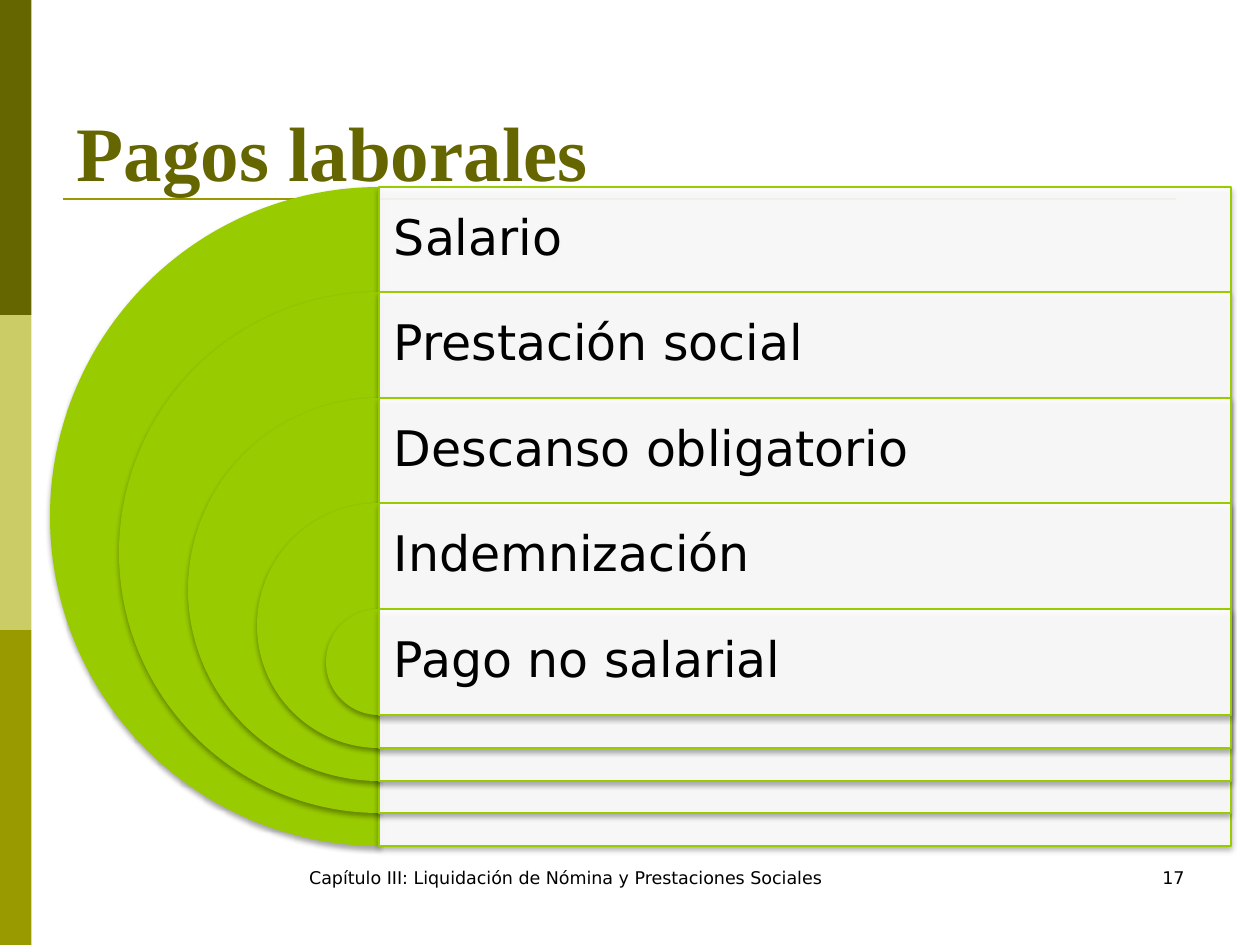
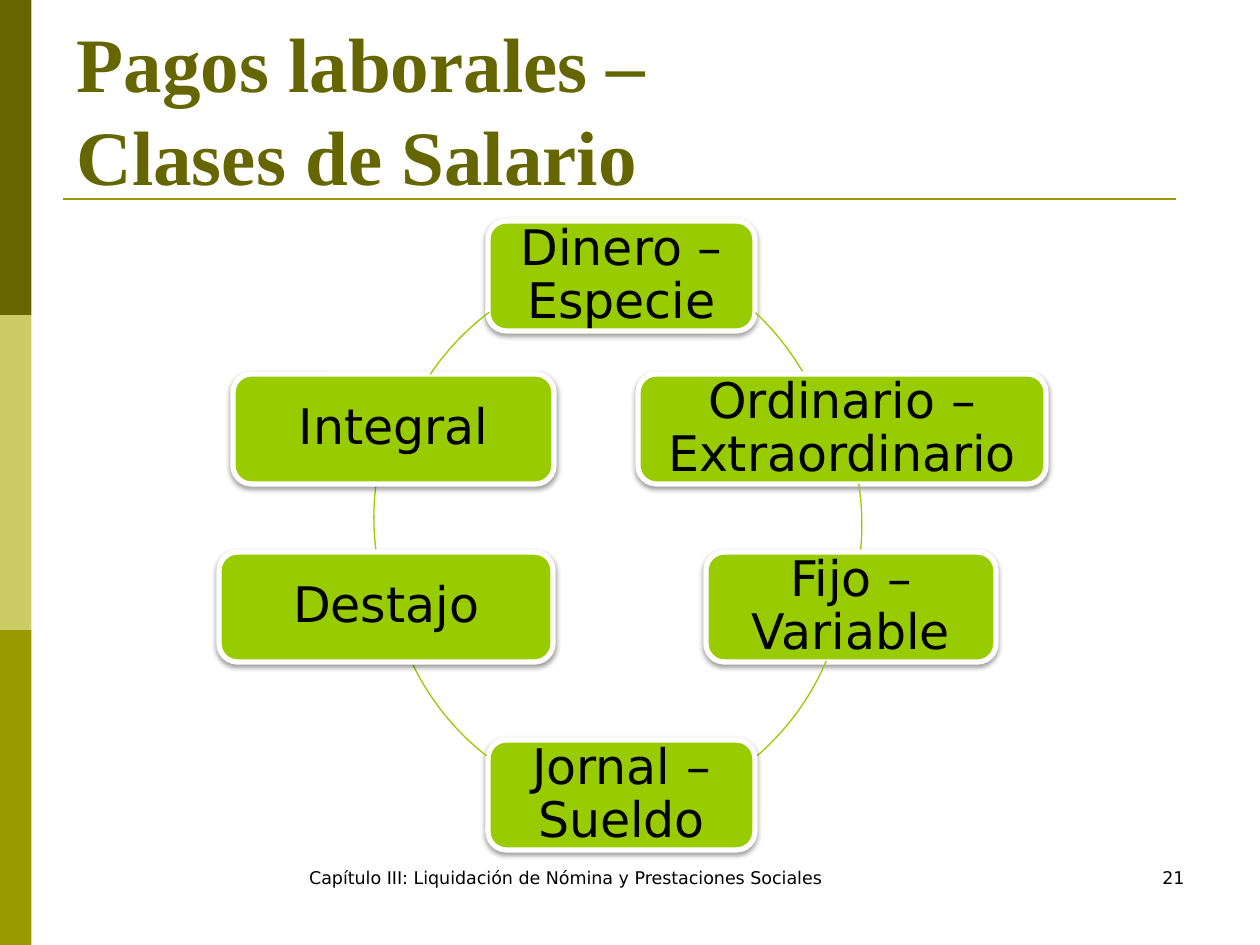
from lxml import etree
from pptx import Presentation
from pptx.dml.color import RGBColor
from pptx.enum.shapes import MSO_CONNECTOR, MSO_SHAPE
from pptx.enum.text import MSO_ANCHOR, MSO_AUTO_SIZE, PP_ALIGN
from pptx.oxml.ns import qn
from pptx.util import Pt

PX = 914400 / 126  # EMU per px, 126 px to the inch

OLIVE = RGBColor(0x66, 0x66, 0x00)
SAND = RGBColor(0xCC, 0xCC, 0x66)
MOSS = RGBColor(0x99, 0x99, 0x00)
LIME = RGBColor(0x99, 0xCC, 0x00)
WHITE = RGBColor(0xFF, 0xFF, 0xFF)
BLACK = RGBColor(0x00, 0x00, 0x00)
SANS, SERIF = "DejaVu Sans", "Times New Roman"

RECT, ROUND = MSO_SHAPE.RECTANGLE, MSO_SHAPE.ROUNDED_RECTANGLE
PIE, ARC = MSO_SHAPE.PIE, MSO_SHAPE.ARC
LEFT, CENTER, RIGHT, JUSTIFY = PP_ALIGN.LEFT, PP_ALIGN.CENTER, PP_ALIGN.RIGHT, PP_ALIGN.JUSTIFY
TOP, MIDDLE, BOTTOM = MSO_ANCHOR.TOP, MSO_ANCHOR.MIDDLE, MSO_ANCHOR.BOTTOM


def put_text(sp, text, size=28, font=SANS, color=BLACK, bold=False, align=CENTER,
             anchor=MIDDLE, spacing=None, margins=None):
    """Write one paragraph; margins are left, top, right, bottom in px."""
    tf = sp.text_frame
    tf.word_wrap = True
    tf.auto_size = MSO_AUTO_SIZE.NONE
    tf.vertical_anchor = anchor
    if margins:
        tf.margin_left, tf.margin_top, tf.margin_right, tf.margin_bottom = [
            round(m * PX) for m in margins]
    p = tf.paragraphs[0]
    p.text = text
    p.alignment = align
    p.line_spacing = spacing
    for r in p.runs:
        r.font.size, r.font.name, r.font.bold = Pt(size), font, bold
        r.font.color.rgb = color


def add_shape(slide, kind, box, fill=None, line=None, width=0.75, angles=None, shadow=None):
    """Add a preset shape; angles in degrees, shadow as (opacity %, distance pt)."""
    sp = slide.shapes.add_shape(kind, *[round(v * PX) for v in box])
    if fill is None:
        sp.fill.background()
    else:
        sp.fill.solid()
        sp.fill.fore_color.rgb = fill
    if line is None:
        sp.line.fill.background()
    else:
        sp.line.color.rgb = line
        sp.line.width = Pt(width)
    for i, angle in enumerate(angles or ()):
        sp.adjustments[i] = angle * 0.6
    sp.shadow.inherit = False
    if shadow:
        opacity, distance = shadow
        effects = sp.element.spPr.find(qn("a:effectLst"))
        outer = etree.SubElement(effects, qn("a:outerShdw"), blurRad=str(Pt(3.1)),
                                 dist=str(Pt(distance)), dir="5400000", rotWithShape="0")
        clr = etree.SubElement(outer, qn("a:srgbClr"), val=str(BLACK))
        etree.SubElement(clr, qn("a:alpha"), val=str(opacity * 1000))
    return sp


prs = Presentation()
prs.slide_width, prs.slide_height = round(1260 * PX), round(945 * PX)
layout = prs.slide_layouts[5]

# Titles, footers and page numbers
slides = []
for title, top, number in (("Pagos laborales", 45, "17"),
                           ("Pagos laborales – \vClases de Salario", 49, "21")):
    s = prs.slides.add_slide(layout)
    slides.append(s)
    sp = s.shapes.title
    sp.left, sp.top, sp.width, sp.height = [round(v * PX) for v in (64, top, 1134, 158)]
    put_text(sp, title, size=44, font=SERIF, color=OLIVE, bold=True, align=LEFT, anchor=BOTTOM)
    for text, left, width, align in (
            ("Capítulo III: Liquidación de Nómina y Prestaciones Sociales", 236, 659, CENTER),
            (number, 903, 294, RIGHT)):
        sp = s.shapes.add_textbox(*[round(v * PX) for v in (left, 861, width, 63)])
        put_text(sp, text, size=10, align=align, anchor=TOP)
payments, kinds = slides

# Side bands and title rule, moved to the master
decor = [add_shape(payments, RECT, (0, i * 315, 31.5, 315), fill=color)
         for i, color in enumerate((OLIVE, SAND, MOSS))]
rule = payments.shapes.add_connector(
    MSO_CONNECTOR.STRAIGHT, *[round(v * PX) for v in (63, 199, 1176, 199)])
rule.line.color.rgb = MOSS
rule.line.width = Pt(1.5)
etree.SubElement(rule.element.spPr, qn("a:effectLst"))
for sp in decor + [rule]:
    prs.slide_master.shapes.element.insert(2, sp.element)

# Slide 1: nested half discs, each with its band
BAND, CENTER_X = 106, 379
for i, text in enumerate(("Salario", "Prestación social", "Descanso obligatorio",
                          "Indemnización", "Pago no salarial")):
    top, size = 187 + i * 211 // 2, 659 - i * 553 // 4
    add_shape(payments, PIE, (CENTER_X - size // 2, top, size, size), fill=LIME,
              angles=(90, 270), shadow=(35, 1.8))
    sp = add_shape(payments, RECT, (CENTER_X, top, 852, size), fill=WHITE, line=LIME,
                   shadow=(35, 1.8))
    fill_color = sp.element.spPr.find(qn("a:solidFill")).find(qn("a:srgbClr"))
    etree.SubElement(fill_color, qn("a:alpha"), val="90000")
    put_text(sp, text, align=JUSTIFY, spacing=0.9, margins=(15, 15, 15, size - BAND + 15))

# Slide 2: ring of salary kinds; box left, top, width, then arc left, top and angles
ring = (
    ("Dinero – Especie", 488, 221, 267, 319, 243, (313, 330)),
    ("Ordinario – Extraordinario", 638, 374, 408, 343, 265, (351, 6)),
    ("Fijo – Variable", 706, 552, 290, 328, 300, (23, 50)),
    ("Jornal – Sueldo", 488, 740, 267, 387, 292, (128, 155)),
    ("Destajo", 219, 552, 334, 374, 258, (173, 187)),
    ("Integral", 233, 374, 321, 386, 260, (214, 233)),
)
for text, left, top, width, arc_left, arc_top, angles in ring:
    sp = add_shape(kinds, ROUND, (left, top, width, 110), fill=LIME, line=WHITE, width=3,
                   shadow=(38, 1.6))
    put_text(sp, text, spacing=0.9, margins=(16, 20, 16, 20))
    add_shape(kinds, ARC, (arc_left, arc_top, 519, 519), line=LIME, angles=angles)

prs.save("out.pptx")
